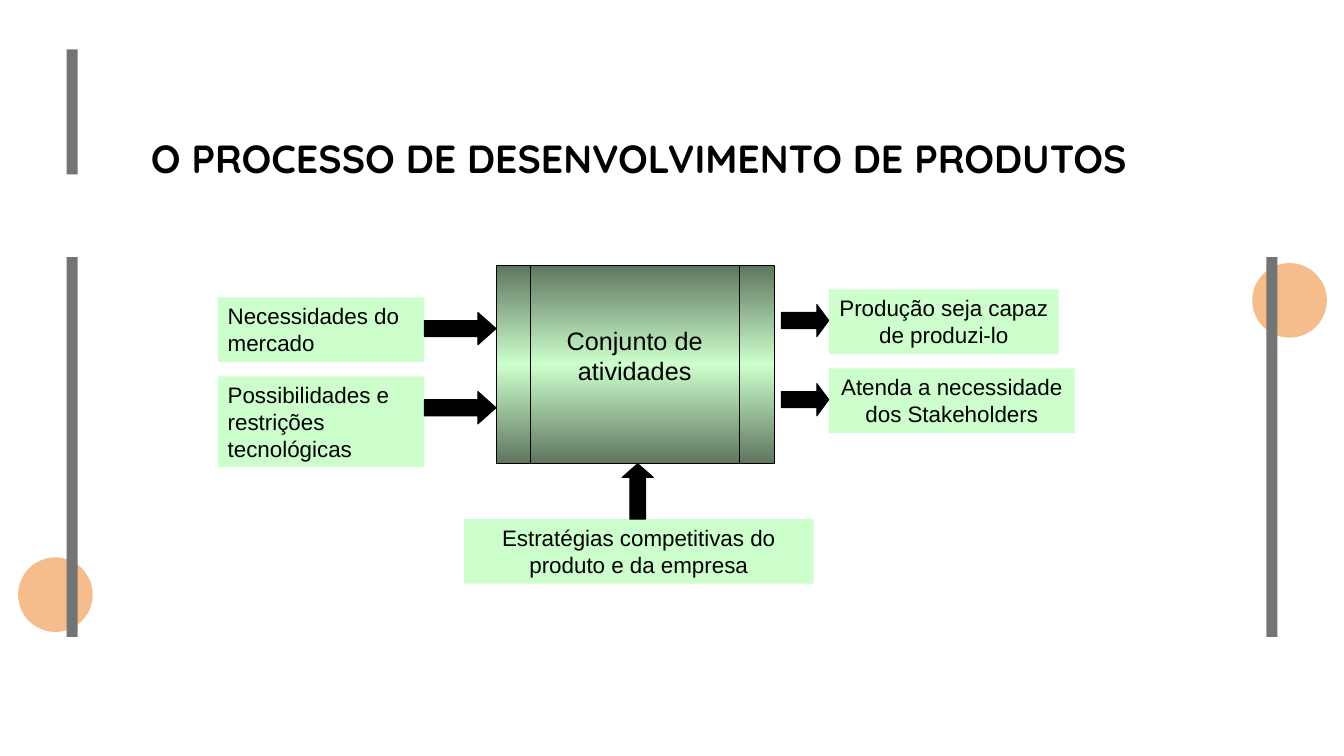
from copy import deepcopy
from lxml.etree import SubElement
from pptx import Presentation
from pptx.dml.color import RGBColor
from pptx.enum.shapes import MSO_SHAPE
from pptx.enum.text import MSO_ANCHOR, PP_ALIGN
from pptx.oxml.ns import qn
from pptx.util import Inches, Pt

BLACK = RGBColor(0x00, 0x00, 0x00)
GRAY = RGBColor(0x74, 0x74, 0x74)
PEACH = RGBColor(0xF4, 0xAD, 0x70)
MINT = RGBColor(0xCC, 0xFF, 0xCC)
MOSS = RGBColor(0x5E, 0x76, 0x5E)


def add_form(slide, kind, box, fill, line=None):
    """Add a flat preset shape with an optional outline."""
    shape = slide.shapes.add_shape(kind, *map(Inches, box))
    shape.shadow.inherit = False
    shape.fill.solid()
    shape.fill.fore_color.rgb = fill
    if line is None:
        shape.line.fill.background()
    else:
        shape.line.color.rgb = line
        shape.line.width = Pt(0.75)
    return shape


def set_text(shape, text, size, align=PP_ALIGN.CENTER, face="Arial", bold=False,
             anchor=MSO_ANCHOR.TOP):
    """Write one wrapped black paragraph in a shape."""
    frame = shape.text_frame
    frame.word_wrap = True
    frame.vertical_anchor = anchor
    para = frame.paragraphs[0]
    para.text = text
    para.alignment = align
    para.font.name = face
    para.font.size = Pt(size)
    para.font.bold = bold
    para.font.color.rgb = BLACK
    return para


def add_disc(slide, left, top):
    """Add a translucent peach disc."""
    disc = add_form(slide, MSO_SHAPE.OVAL, (left, top, 0.74, 0.74), PEACH)
    color = disc._element.spPr.find(qn("a:solidFill"))[0]
    SubElement(color, qn("a:alpha"), val="80000")


def add_decor(slide):
    """Place the discs and the gray bars at the slide edges."""
    add_disc(slide, 12.42, 2.61)
    add_disc(slide, 0.18, 5.53)
    for left, top, height in ((12.56, 2.55, 3.77), (0.66, 0.49, 1.24), (0.66, 2.55, 3.77)):
        add_form(slide, MSO_SHAPE.RECTANGLE, (left, top, 0.11, height), GRAY)


def add_title(slide, box):
    """Add the slide title."""
    title = slide.shapes.add_textbox(*map(Inches, box))
    para = set_text(title, "O PROCESSO DE DESENVOLVIMENTO DE PRODUTOS", 28,
                    face="Quicksand", bold=True, anchor=MSO_ANCHOR.MIDDLE)
    para.line_spacing = 0.9


def add_core(slide, box):
    """Add the central process with its gradient and label."""
    left, top, width, _ = box
    core = add_form(slide, MSO_SHAPE.FLOWCHART_PREDEFINED_PROCESS, box, MINT, BLACK)
    core.fill.gradient()
    core.fill.gradient_angle = 90
    stops = core._element.spPr.find(qn("a:gradFill")).find(qn("a:gsLst"))
    stops.insert(1, deepcopy(stops[0]))
    for stop, place, color in zip(core.fill.gradient_stops, (0, 0.5, 1), (MOSS, MINT, MOSS)):
        stop.position = place
        stop.color.rgb = color
    label = slide.shapes.add_textbox(
        Inches(left + 0.31), Inches(top + 0.55), Inches(width - 0.63), Inches(0.7))
    set_text(label, "Conjunto de atividades", 18)


def add_note(slide, box, text, align=PP_ALIGN.CENTER):
    """Add a mint box with text."""
    note = add_form(slide, MSO_SHAPE.RECTANGLE, box, MINT)
    set_text(note, text, 16, align)


def add_arrow(slide, kind, box, head):
    """Add a black block arrow with the given head length."""
    arrow = add_form(slide, kind, box, BLACK, BLACK)
    arrow.adjustments[0] = 0.5
    arrow.adjustments[1] = head


def add_inputs(slide, left, top):
    """Add the two inputs, each with an arrow to the process."""
    notes = (("Necessidades do mercado", 0.64),
             ("Possibilidades e restrições tecnológicas", 0.9))
    for i, (text, height) in enumerate(notes):
        y = top + 0.785 * i
        add_note(slide, (left, y, 2.05, height), text, PP_ALIGN.LEFT)
        add_arrow(slide, MSO_SHAPE.RIGHT_ARROW, (left + 2.05, y + 0.15, 0.71, 0.32), 0.56)


def add_outputs(slide, left, top):
    """Add the two outputs, each with an arrow from the process."""
    notes = (("Produção seja capaz de produzi-lo", 2.28),
             ("Atenda a necessidade dos Stakeholders", 2.44))
    for i, (text, width) in enumerate(notes):
        y = top + 0.785 * i
        add_note(slide, (left + 0.47, y, width, 0.64), text)
        add_arrow(slide, MSO_SHAPE.RIGHT_ARROW, (left, y + 0.15, 0.47, 0.32), 0.37)


def add_base(slide, left, top):
    """Add the strategy box with its arrow up to the process."""
    add_note(slide, (left, top + 0.55, 3.47, 0.64),
             "Estratégias competitivas do produto e da empresa")
    add_arrow(slide, MSO_SHAPE.UP_ARROW, (left + 1.57, top, 0.31, 0.55), 0.44)


def main():
    """Build and save the slide."""
    deck = Presentation()
    deck.slide_width = Inches(13.33)
    deck.slide_height = Inches(7.5)
    slide = deck.slides.add_slide(deck.slide_layouts[6])
    add_decor(slide)
    add_title(slide, (0.89, 0.97, 10.89, 1.25))
    add_core(slide, (4.92, 2.63, 2.76, 1.97))
    add_inputs(slide, 2.16, 2.95)
    add_base(slide, 4.6, 4.6)
    add_outputs(slide, 7.75, 2.87)
    deck.save("out.pptx")


if __name__ == "__main__":
    main()
